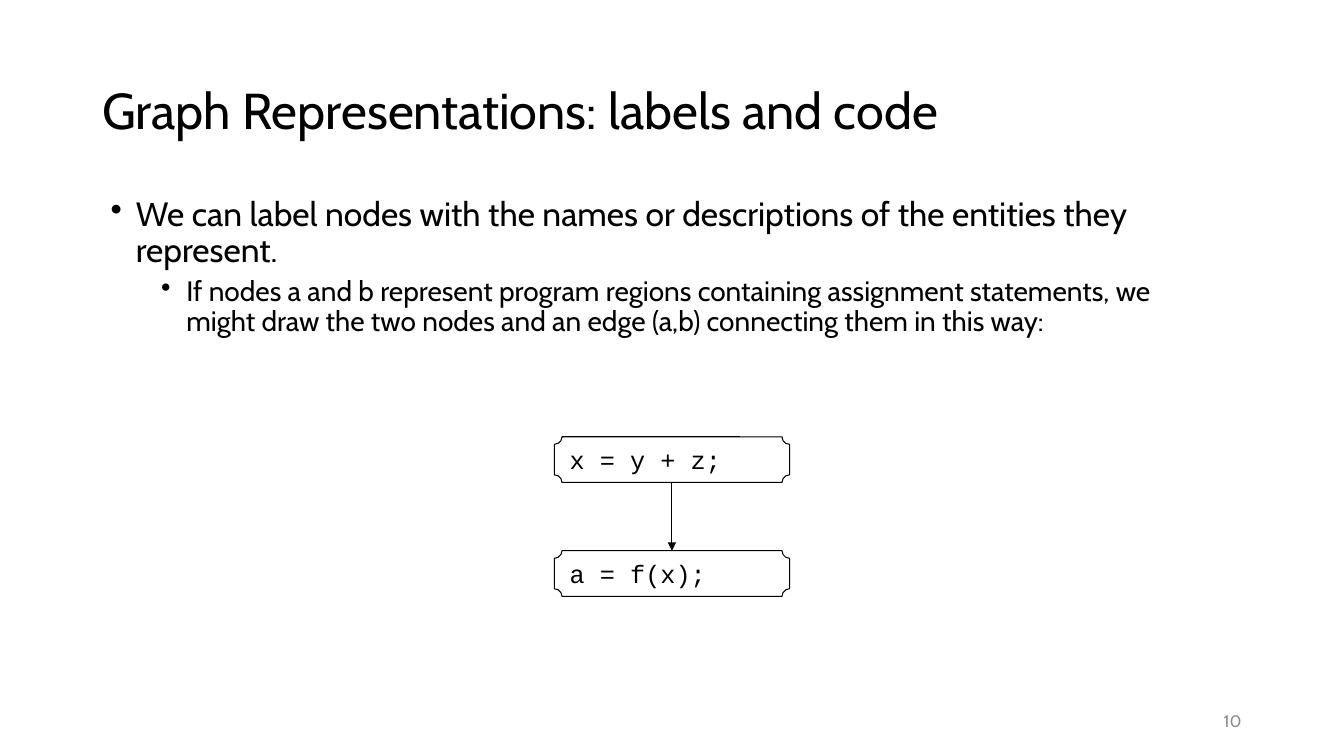
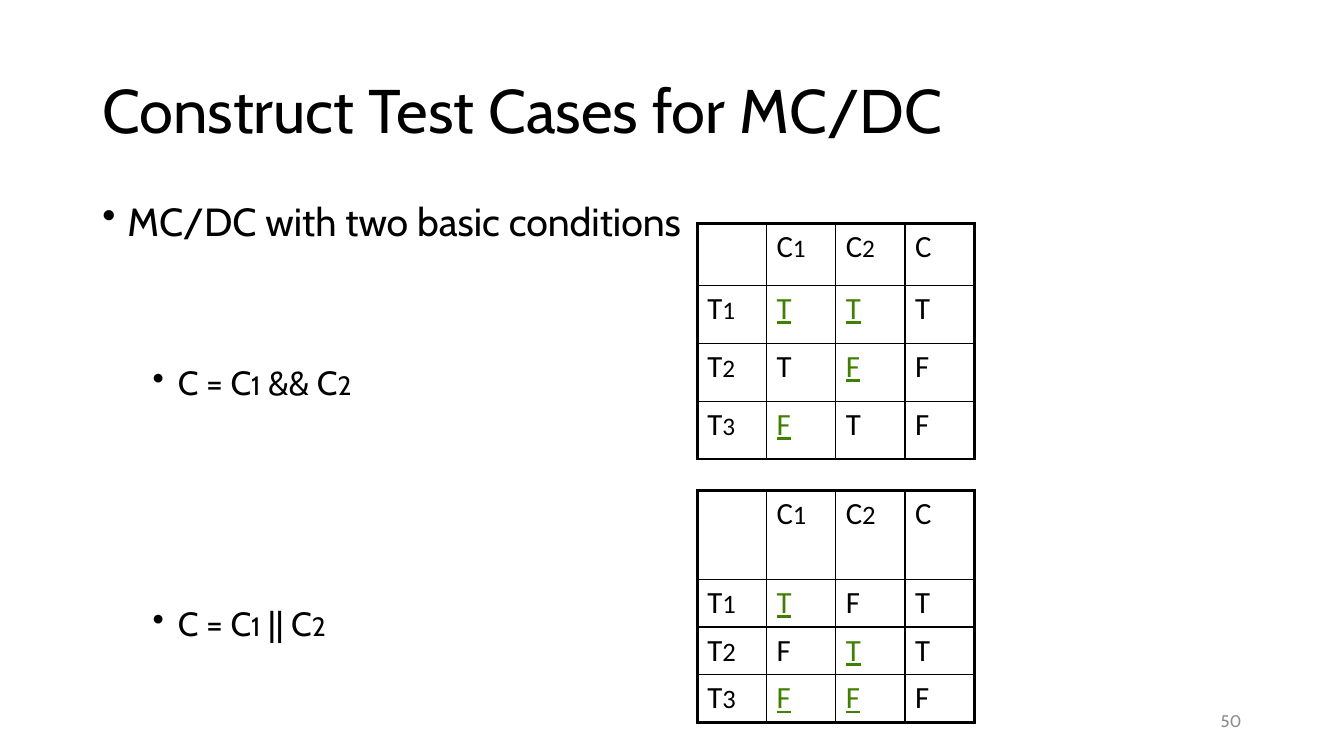
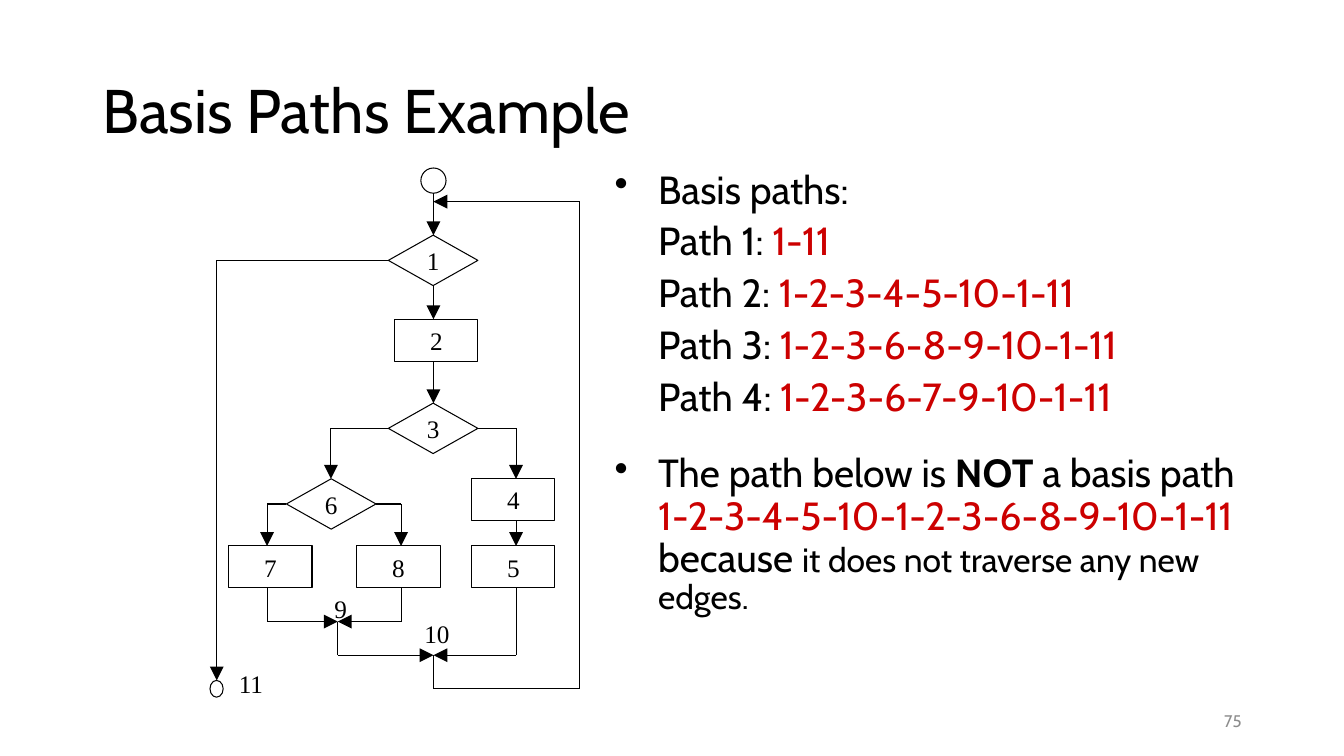
import itertools

import lxml.etree
import pptx
import pptx.dml.color
import pptx.enum.shapes
import pptx.enum.text
import pptx.oxml
import pptx.oxml.ns
import pptx.util

Pt = pptx.util.Pt
Shape = pptx.enum.shapes.MSO_SHAPE
Align = pptx.enum.text.PP_ALIGN
Anchor = pptx.enum.text.MSO_ANCHOR

COLORS = {"ink": "000000", "paper": "FFFFFF", "page": "8C8C8C",
          "path": "CC0000", "marked": "408000"}
BODY_FONT, TABLE_FONT = "Cabin", "Calibri"
CODE_FONT, NODE_FONT = "Courier New", "Times New Roman"


def rgb(name):
    return pptx.dml.color.RGBColor.from_string(COLORS[name])


def add_xml(parent, tag, **attributes):
    element = lxml.etree.SubElement(parent, pptx.oxml.ns.qn(tag))
    for key, value in attributes.items():
        element.set(key, str(value))
    return element


class Deck:
    """Holds the shared style and the slide being built."""

    def __init__(self):
        self.presentation = pptx.Presentation()
        self.presentation.slide_width = Pt(960)
        self.presentation.slide_height = Pt(540)
        self.slide = None

    def new_slide(self, title, number, title_size=44):
        layout = self.presentation.slide_layouts[6]
        self.slide = self.presentation.slides.add_slide(layout)
        heading = self.text(66, 28.8, 828, 104.4, title, title_size, anchor=Anchor.MIDDLE)
        heading.line_spacing = 0.9
        page = self.text(678, 500.4, 216, 28.8, number, 12, color="page",
                         anchor=Anchor.MIDDLE)
        page.alignment = Align.RIGHT

    # Text
    def add_runs(self, paragraph, runs, size, font=BODY_FONT, color="ink"):
        """Fill a paragraph from strings or (string, changes) pairs; a newline breaks the line."""
        for item in [runs] if isinstance(runs, str) else runs:
            words, changes = (item, {}) if isinstance(item, str) else item
            for index, line in enumerate(words.split("\n")):
                if index:
                    paragraph.add_line_break()
                if not line:
                    continue
                run = paragraph.add_run()
                run.text = line
                run.font.name = font
                run.font.size = Pt(changes.get("size", size))
                run.font.color.rgb = rgb(changes.get("color", color))
                run.font.bold = changes.get("bold", False)
                run.font.underline = changes.get("underline", False)

    def frame(self, left, top, width, height):
        box = self.slide.shapes.add_textbox(Pt(left), Pt(top), Pt(width), Pt(height))
        box.text_frame.word_wrap = True
        return box.text_frame

    def text(self, left, top, width, height, words, size, font=BODY_FONT,
             color="ink", anchor=Anchor.TOP):
        frame = self.frame(left, top, width, height)
        frame.vertical_anchor = anchor
        self.add_runs(frame.paragraphs[0], words, size, font, color)
        return frame.paragraphs[0]

    def bullets(self, left, top, width, height, items):
        """Each item: runs, size, left margin, hanging indent, line spacing, before, after."""
        frame = self.frame(left, top, width, height)
        for index, (runs, size, margin, hang, spacing, before, after) in enumerate(items):
            paragraph = frame.add_paragraph() if index else frame.paragraphs[0]
            properties = paragraph._p.get_or_add_pPr()
            properties.set("marL", str(Pt(margin)))
            properties.set("indent", str(-Pt(hang)))
            add_xml(properties, "a:buChar", char="•")
            paragraph.line_spacing = spacing
            paragraph.space_before = Pt(before)
            paragraph.space_after = Pt(after)
            self.add_runs(paragraph, runs, size)

    # Diagram parts
    def node(self, kind, left, top, width, height, words="", font=NODE_FONT,
             fill="paper", align=Align.CENTER):
        shape = self.slide.shapes.add_shape(kind, Pt(left), Pt(top), Pt(width), Pt(height))
        shape.shadow.inherit = False
        if fill:
            shape.fill.solid()
            shape.fill.fore_color.rgb = rgb(fill)
        else:
            shape.fill.background()
        shape.line.color.rgb = rgb("ink")
        shape.line.width = Pt(0.75)
        frame = shape.text_frame
        frame.word_wrap = False
        frame.vertical_anchor = Anchor.MIDDLE
        frame.paragraphs[0].alignment = align
        self.add_runs(frame.paragraphs[0], words, 18, font)

    def flow(self, *points, head="lg"):
        """Straight segments through the points; the last one ends in an arrow."""
        for start, end in itertools.pairwise(points):
            connector = self.slide.shapes.add_connector(
                pptx.enum.shapes.MSO_CONNECTOR.STRAIGHT, *map(Pt, start + end))
            connector.line.color.rgb = rgb("ink")
            connector.line.width = Pt(0.75)
            if end == points[-1]:
                add_xml(connector.line._get_or_add_ln(), "a:tailEnd",
                        type="triangle", w=head, len=head)
            add_xml(connector._element.spPr, "a:effectLst")

    # Truth table: digits are smaller, a star marks a value
    def truth_table(self, left, top, column_width, row_heights, rows, digit_size):
        count = len(rows[0])
        table = self.slide.shapes.add_table(
            len(rows), count, Pt(left), Pt(top),
            Pt(column_width * count), Pt(sum(row_heights))).table
        table.first_row = table.horz_banding = False
        for column in table.columns:
            column.width = Pt(column_width)
        for row, height in zip(table.rows, row_heights):
            row.height = Pt(height)
        for y, values in enumerate(rows):
            for x, value in enumerate(values):
                cell = table.cell(y, x)
                outer = {"a:lnL": x == 0, "a:lnR": x == count - 1,
                         "a:lnT": y == 0, "a:lnB": y == len(rows) - 1}
                self.borders(cell, outer)
                cell.fill.background()
                letter, digit = value.lstrip("*")[:1], value.lstrip("*")[1:]
                style = {"color": "marked", "underline": True} if "*" in value else {}
                self.add_runs(cell.text_frame.paragraphs[0],
                              [(letter, style), (digit, {"size": digit_size})],
                              22, TABLE_FONT)

    def borders(self, cell, outer):
        properties = cell._tc.get_or_add_tcPr()
        for tag, is_outer in outer.items():
            line = add_xml(properties, tag, w=Pt(2.25 if is_outer else 1))
            add_xml(add_xml(line, "a:solidFill"), "a:srgbClr", val=COLORS["ink"])


def labels_slide(deck):
    deck.new_slide("Graph Representations: labels and code", "10", title_size=36)
    deck.bullets(72, 137.5, 766, 150, [
        ("We can label nodes with the names or descriptions of the entities they represent.",
         24, 18, 18, 0.9, 0, 0),
        ("If nodes a and b represent program regions containing assignment statements, "
         "we might draw the two nodes and an edge (a,b) connecting them in this way:",
         20, 54, 18, 0.9, 5, 0)])
    for top, code in ((312, "x = y + z;"), (393.4, "a = f(x);")):
        deck.node(Shape.PLAQUE, 396, top, 168, 32.6, code, CODE_FONT, None, Align.LEFT)
    deck.flow((480, 344.6), (480, 393.4), head="med")


def test_cases_slide(deck):
    deck.new_slide("Construct Test Cases for MC/DC", "50")
    small = {"size": 19}
    conditions = [(["C = C", ("1", small), f" {operator} C", ("2", small)],
                   24, 54, 18, 0.8, before, 0)
                  for operator, before in (("&&", 90), ("||", 149))]
    deck.bullets(66, 144, 828, 343,
                 [("MC/DC with two basic conditions", 28, 18, 18, 0.8, 0, 0)] + conditions)
    header = ["", "C1", "C2", "C"]
    deck.truth_table(498, 159.8, 49.5, [44] + [41.4] * 3, [
        header,
        ["T1", "*T", "*T", "T"],
        ["T2", "T", "*F", "F"],
        ["T3", "*F", "T", "F"]], 18)
    deck.truth_table(498, 350.5, 49.5, [63.4] + [34] * 3, [
        header,
        ["T1", "*T", "F", "T"],
        ["T2", "F", "*T", "T"],
        ["T3", "*F", "*F", "F"]], 19)


def basis_paths_slide(deck):
    deck.new_slide("Basis Paths Example", "75")

    # Paths
    red = {"color": "path"}
    paths = ["1-11", "1-2-3-4-5-10-1-11", "1-2-3-6-8-9-10-1-11", "1-2-3-6-7-9-10-1-11"]
    listing = ["Basis paths:"]
    for number, steps in enumerate(paths, 1):
        listing += [f"\nPath {number}: ", (steps, red)]
    deck.bullets(432, 110.9, 461.5, 426, [
        (listing, 28, 31, 31, 1.1, 0, 12),
        (["The path below is ", ("NOT", {"bold": True}), " a basis path ",
          ("1-2-3-4-5-10-1-2-3-6-8-9-10-1-11 ", red), "because ",
          ("it does not traverse any new edges.", {"size": 24})],
         28, 31, 31, 0.9, 13, 12)])

    # Nodes
    deck.node(Shape.OVAL, 300.6, 120, 18, 18)
    for label, left, top in (("1", 277.4, 168), ("3", 277.4, 288), ("6", 204.6, 342)):
        deck.node(Shape.DIAMOND, left, top, 64, 36, label)
    for label, left, top in (("2", 282, 228), ("4", 337, 342), ("5", 337, 390),
                             ("7", 163.5, 390), ("8", 255, 390)):
        deck.node(Shape.RECTANGLE, left, top, 59.4, 30, label)
    deck.node(Shape.OVAL, 150, 486, 9.4, 12, fill=None)

    # Edges, named by the column they run in
    leave, seven, six, join, eight, trunk, five, back = (
        154.8, 190.8, 236.4, 241.2, 286.5, 309.6, 368.6, 414)
    for top, bottom in ((138, 168), (204, 228), (258, 288)):
        deck.flow((trunk, top), (trunk, bottom))
    deck.flow((277.4, 306), (six, 306), (six, 342))
    deck.flow((341.4, 306), (five, 306), (five, 342))
    deck.flow((five, 372), (five, 390))
    deck.flow((204.6, 360), (seven, 360), (seven, 390))
    deck.flow((268.6, 360), (eight, 360), (eight, 390))
    for column in (seven, eight):
        deck.flow((column, 420), (column, 444), (join, 444))
    deck.flow((join, 444), (join, 468), (trunk, 468))
    deck.flow((five, 420), (five, 468), (trunk, 468))
    deck.flow((trunk, 468), (trunk, 492), (back, 492), (back, 144), (trunk, 144))
    deck.flow((277.4, 186), (leave, 186), (leave, 486))

    # Junction labels
    for label, left, top in (("9", 231.8, 420), ("10", 296, 438), ("11", 163.5, 474)):
        deck.text(left, top, 46, 28.8, label, 18, NODE_FONT)


def main():
    deck = Deck()
    labels_slide(deck)
    test_cases_slide(deck)
    basis_paths_slide(deck)
    deck.presentation.save("out.pptx")


if __name__ == "__main__":
    main()
